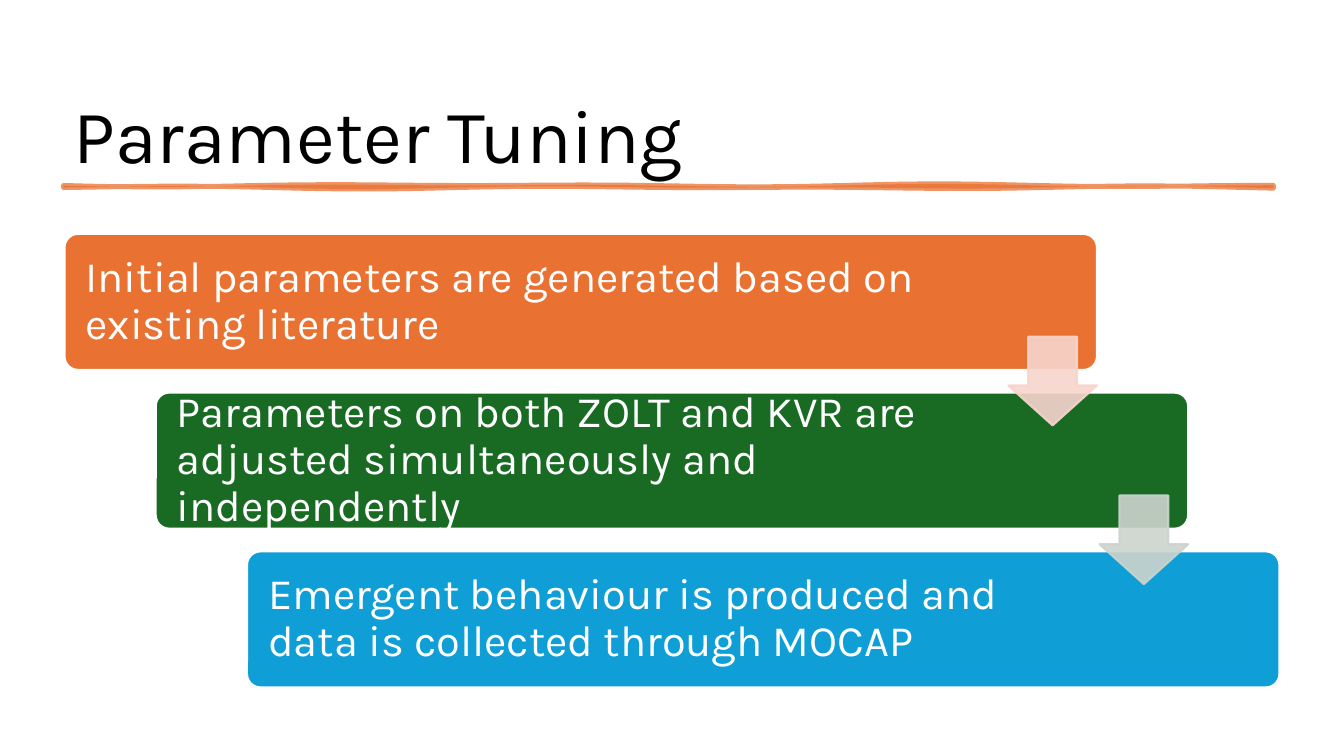
import math
from dataclasses import dataclass

import pptx
import pptx.dml.color
import pptx.enum.shapes
import pptx.enum.text
import pptx.oxml.ns
import pptx.util
from lxml import etree

Inches = pptx.util.Inches
Pt = pptx.util.Pt
MSO_SHAPE = pptx.enum.shapes.MSO_SHAPE
MSO_ANCHOR = pptx.enum.text.MSO_ANCHOR
PP_ALIGN = pptx.enum.text.PP_ALIGN
qn = pptx.oxml.ns.qn


@dataclass(frozen=True)
class Theme:
    font: str = "Karla"
    title_size: float = 54
    step_size: float = 31
    outline: float = 1.5
    rule_outline: float = 3.5
    black: str = "000000"
    white: str = "FFFFFF"
    orange: str = "E97132"


THEME = Theme()

# wording, bar colour, width of the text area
STEPS = [
    ("Initial parameters are generated based on existing literature", THEME.orange, 8.78),
    ("Parameters on both ZOLT and KVR are adjusted simultaneously and independently", "196B24", 8.38),
    ("Emergent behaviour is produced and data is collected through MOCAP", "0F9ED5", 8.38),
]
ARROW_COLORS = ["F7D5CE", "CCD4CD"]


def paint(shape, fill, line, width, opacity=100):
    """Fill and outline a shape without shadow; opacity is in percent."""
    shape.shadow.inherit = False
    shape.fill.solid()
    shape.fill.fore_color.rgb = pptx.dml.color.RGBColor.from_string(fill)
    shape.line.color.rgb = pptx.dml.color.RGBColor.from_string(line)
    shape.line.width = Pt(width)
    if opacity < 100:
        properties = shape.fill._xPr
        for color in properties.iter(qn("a:srgbClr")):
            etree.SubElement(color, qn("a:alpha")).set("val", str(opacity * 1000))


def write(shape, text, size, color, anchor, insets):
    """Set one left-aligned paragraph; insets are left, top, right, bottom."""
    frame = shape.text_frame
    frame.text = text
    frame.word_wrap = True
    frame.vertical_anchor = anchor
    frame.margin_left, frame.margin_top, frame.margin_right, frame.margin_bottom = map(Inches, insets)
    paragraph = frame.paragraphs[0]
    paragraph.alignment = PP_ALIGN.LEFT
    paragraph.line_spacing = 0.9
    font = paragraph.runs[0].font
    font.name = THEME.font
    font.size = Pt(size)
    font.color.rgb = pptx.dml.color.RGBColor.from_string(color)


def add_title(slide, left, top, width, height):
    title = slide.shapes.add_textbox(Inches(left), Inches(top), Inches(width), Inches(height))
    write(title, "Parameter Tuning", THEME.title_size, THEME.black,
          MSO_ANCHOR.BOTTOM, (0.1, 0.05, 0.1, 0.05))


def add_wavy_rule(slide, left, top, width, height):
    """Draw a thin band whose edges waver as if drawn by hand."""
    def edge(y, phase):
        return [(left + width * i / 120,
                 y + 0.008 * (math.sin(i / 5 + phase) + math.sin(i / 8 + 2 * phase)))
                for i in range(121)]

    points = edge(top, 0) + edge(top + height, 2)[::-1]
    builder = slide.shapes.build_freeform(Inches(points[0][0]), Inches(points[0][1]))
    builder.add_line_segments([(Inches(x), Inches(y)) for x, y in points[1:]], close=True)
    paint(builder.convert_to_shape(), THEME.orange, THEME.orange, THEME.rule_outline, 75)


def add_staircase(slide, left, top, width, height):
    """Stack the steps down to the right, with an arrow from each to the next."""
    bar_width, bar_height, arrow_size = 10.24, 1.35, 0.88
    gaps = len(STEPS) - 1
    shift = (width - bar_width) / gaps
    pitch = (height - bar_height) / gaps

    for i, (text, color, text_width) in enumerate(STEPS):
        bar = slide.shapes.add_shape(
            MSO_SHAPE.ROUNDED_RECTANGLE, Inches(left + i * shift), Inches(top + i * pitch),
            Inches(bar_width), Inches(bar_height))
        bar.adjustments[0] = 0.1
        paint(bar, color, THEME.white, THEME.outline)
        right_inset = bar_width - text_width + 0.09
        write(bar, text, THEME.step_size, THEME.white, MSO_ANCHOR.MIDDLE,
              (0.17, 0, right_inset, 0))

    for i, color in enumerate(ARROW_COLORS):
        arrow = slide.shapes.add_shape(
            MSO_SHAPE.DOWN_ARROW, Inches(left + i * shift + bar_width - arrow_size),
            Inches(top + 1.02 + i * pitch), Inches(arrow_size), Inches(arrow_size))
        arrow.adjustments[0] = 0.55
        arrow.adjustments[1] = 0.45
        paint(arrow, color, color, THEME.outline, 90)


def main():
    presentation = pptx.Presentation()
    presentation.slide_width = Inches(13.33)
    presentation.slide_height = Inches(7.5)
    slide = presentation.slides.add_slide(presentation.slide_layouts[6])
    add_title(slide, 0.63, 0.26, 12.05, 1.57)
    add_wavy_rule(slide, 0.63, 1.84, 12, 0.02)
    add_staircase(slide, 0.64, 2.32, 12.05, 4.5)
    presentation.save("out.pptx")


if __name__ == "__main__":
    main()
